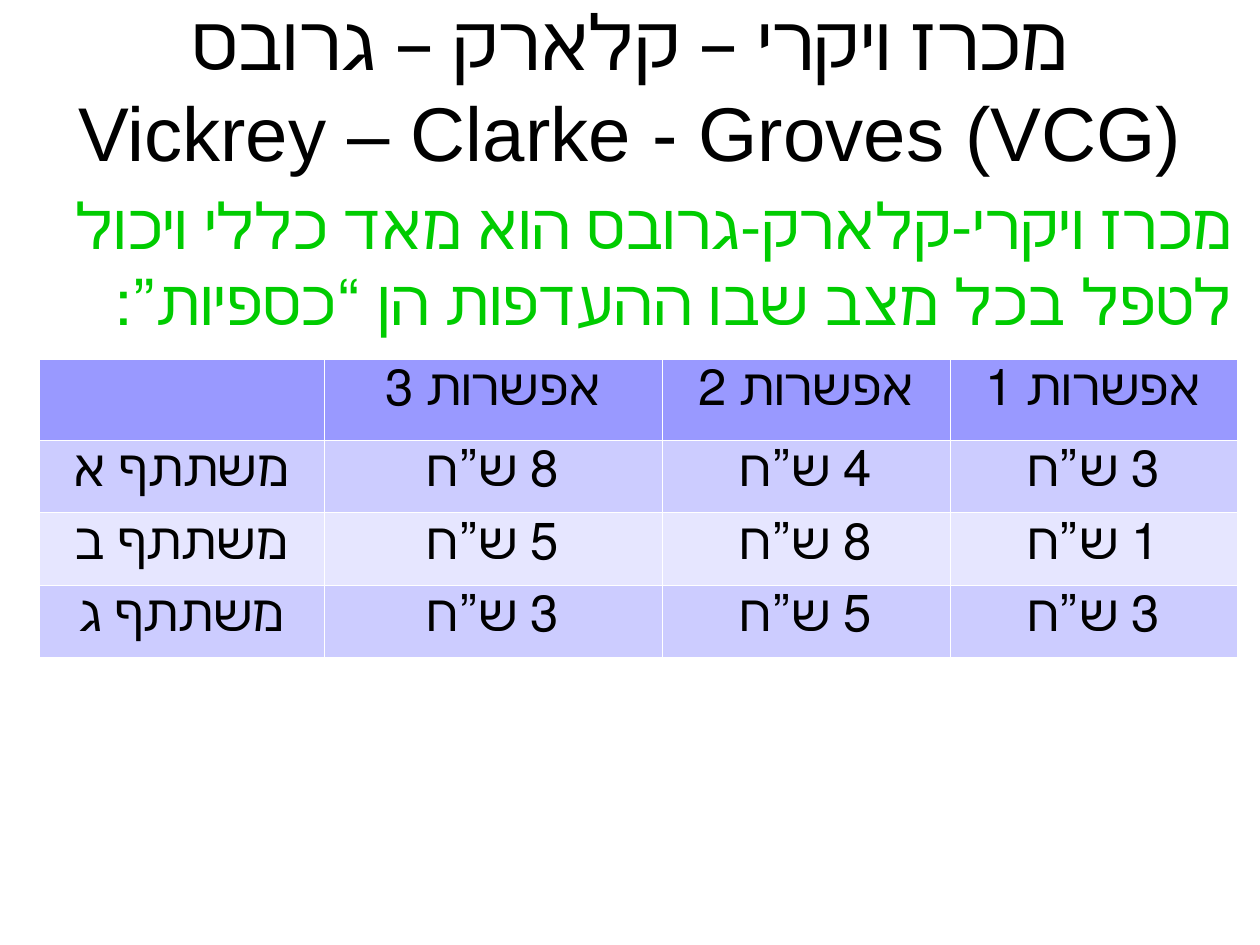
from dataclasses import dataclass

from lxml.etree import SubElement
from pptx import Presentation
from pptx.dml.color import RGBColor
from pptx.enum.text import MSO_ANCHOR, PP_ALIGN
from pptx.oxml.ns import qn
from pptx.util import Cm, Pt


@dataclass(frozen=True)
class Theme:
    text: str = "000000"
    statement: str = "00CC00"
    header_fill: str = "9999FF"
    row_fills: tuple = ("CCCCFF", "E6E6FF")
    border: str = "FFFFFF"
    border_width: int = 762
    font: str = "Arial"
    table_font: str = "Calibri"
    title_size: int = 48
    statement_size: int = 40
    table_size: int = 32


THEME = Theme()

TITLE = "מכרז ויקרי – קלארק – גרובס\vVickrey – Clarke - Groves (VCG)"
STATEMENT = ("מכרז ויקרי-קלארק-גרובס הוא מאד כללי ויכול "
             "לטפל בכל מצב שבו ההעדפות הן “כספיות”:")
VALUATIONS = [
    ["", "אפשרות 3", "אפשרות 2", "אפשרות 1"],
    ["משתתף א", "8 ש”ח", "4 ש”ח", "3 ש”ח"],
    ["משתתף ב", "5 ש”ח", "8 ש”ח", "1 ש”ח"],
    ["משתתף ג", "3 ש”ח", "5 ש”ח", "3 ש”ח"],
]
COLUMN_WIDTHS = [6.34, 7.51, 6.4, 6.37]
HEADER_HEIGHT, ROW_HEIGHT = 1.8, 1.57


def write_paragraph(paragraph, text, alignment, name, size, color, right_to_left):
    paragraph.text = text
    paragraph.alignment = alignment
    if right_to_left:
        paragraph._p.get_or_add_pPr().set("rtl", "1")
    for run in paragraph.runs:
        for attribute, value in {"name": name, "size": Pt(size)}.items():
            setattr(run.font, attribute, value)
        run.font.color.rgb = RGBColor.from_string(color)


def add_text(slide, box, anchor, text, **text_format):
    frame = slide.shapes.add_textbox(*map(Cm, box)).text_frame
    settings = {"word_wrap": True, "vertical_anchor": anchor, "margin_left": 0,
                "margin_right": 0, "margin_top": 0, "margin_bottom": 0}
    for attribute, value in settings.items():
        setattr(frame, attribute, value)
    write_paragraph(frame.paragraphs[0], text, **text_format)


def add_title(slide, box):
    add_text(slide, box, MSO_ANCHOR.MIDDLE, TITLE, alignment=PP_ALIGN.CENTER,
             name=THEME.font, size=THEME.title_size, color=THEME.text,
             right_to_left=False)


def add_statement(slide, box):
    add_text(slide, box, MSO_ANCHOR.TOP, STATEMENT, alignment=PP_ALIGN.RIGHT,
             name=THEME.font, size=THEME.statement_size, color=THEME.statement,
             right_to_left=True)


def set_borders(cell):
    properties = cell._tc.get_or_add_tcPr()
    for position, side in enumerate(("a:lnL", "a:lnR", "a:lnT", "a:lnB")):
        line = SubElement(properties, qn(side), w=str(THEME.border_width))
        fill = SubElement(line, qn("a:solidFill"))
        SubElement(fill, qn("a:srgbClr"), val=THEME.border)
        properties.insert(position, line)


def add_valuation_table(slide, box):
    table = slide.shapes.add_table(
        len(VALUATIONS), len(COLUMN_WIDTHS), *map(Cm, box)).table
    for column, width in zip(table.columns, COLUMN_WIDTHS):
        column.width = Cm(width)
    for index, (row, texts) in enumerate(zip(table.rows, VALUATIONS)):
        row.height = Cm(ROW_HEIGHT if index else HEADER_HEIGHT)
        color = THEME.row_fills[(index - 1) % 2] if index else THEME.header_fill
        for cell, text in zip(row.cells, texts):
            cell.fill.solid()
            cell.fill.fore_color.rgb = RGBColor.from_string(color)
            set_borders(cell)
            write_paragraph(cell.text_frame.paragraphs[0], text,
                            PP_ALIGN.CENTER, THEME.table_font,
                            THEME.table_size, THEME.text, right_to_left=True)


def main():
    presentation = Presentation()
    presentation.slide_width, presentation.slide_height = Cm(28), Cm(21)
    slide = presentation.slides.add_slide(presentation.slide_layouts[6])
    add_title(slide, (0, -0.03, 28, 3.86))
    add_statement(slide, (0.46, 4.14, 26.92, 3.73))
    table_height = HEADER_HEIGHT + ROW_HEIGHT * (len(VALUATIONS) - 1)
    add_valuation_table(slide, (0.86, 7.98, sum(COLUMN_WIDTHS), table_height))
    presentation.save("out.pptx")


if __name__ == "__main__":
    main()
